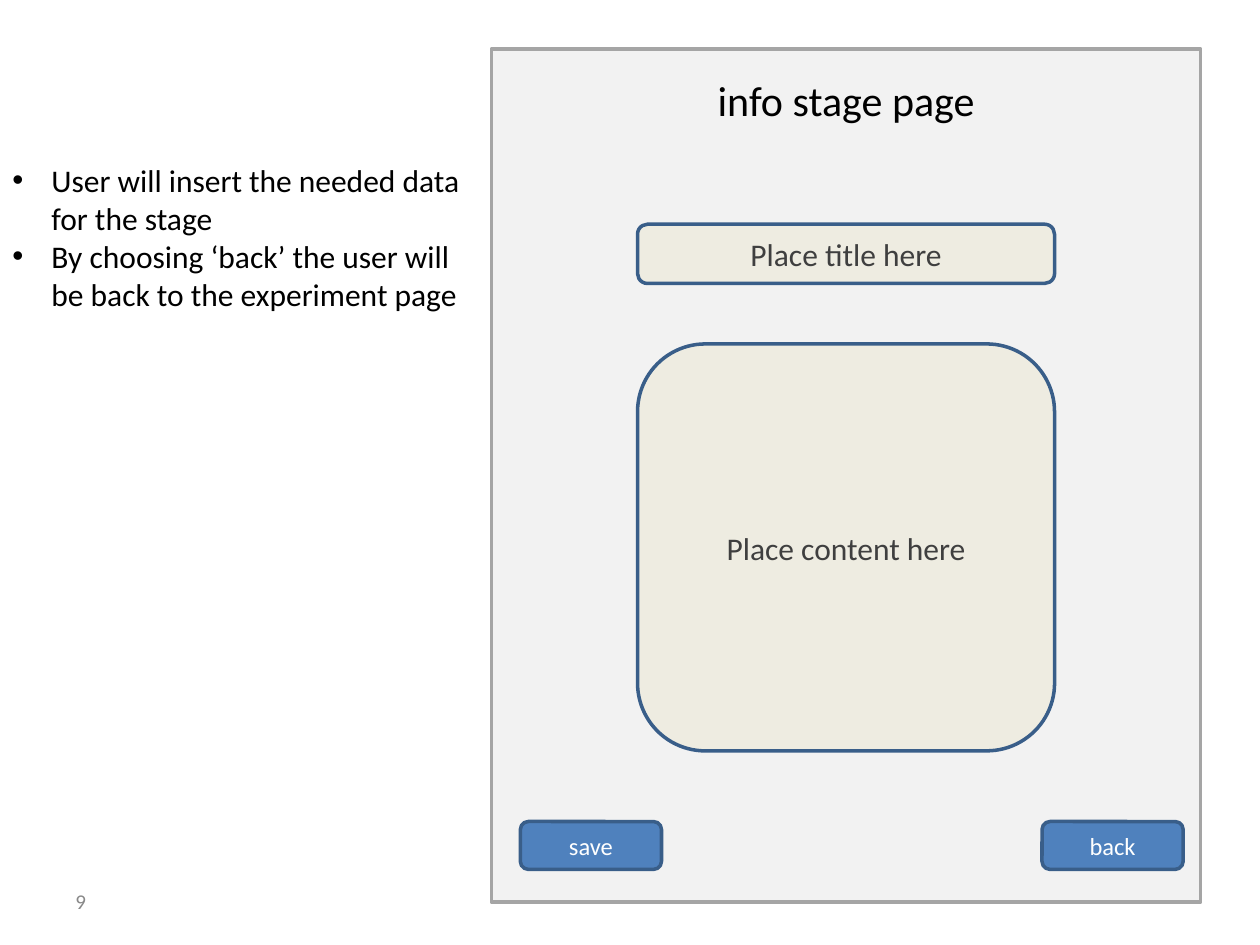
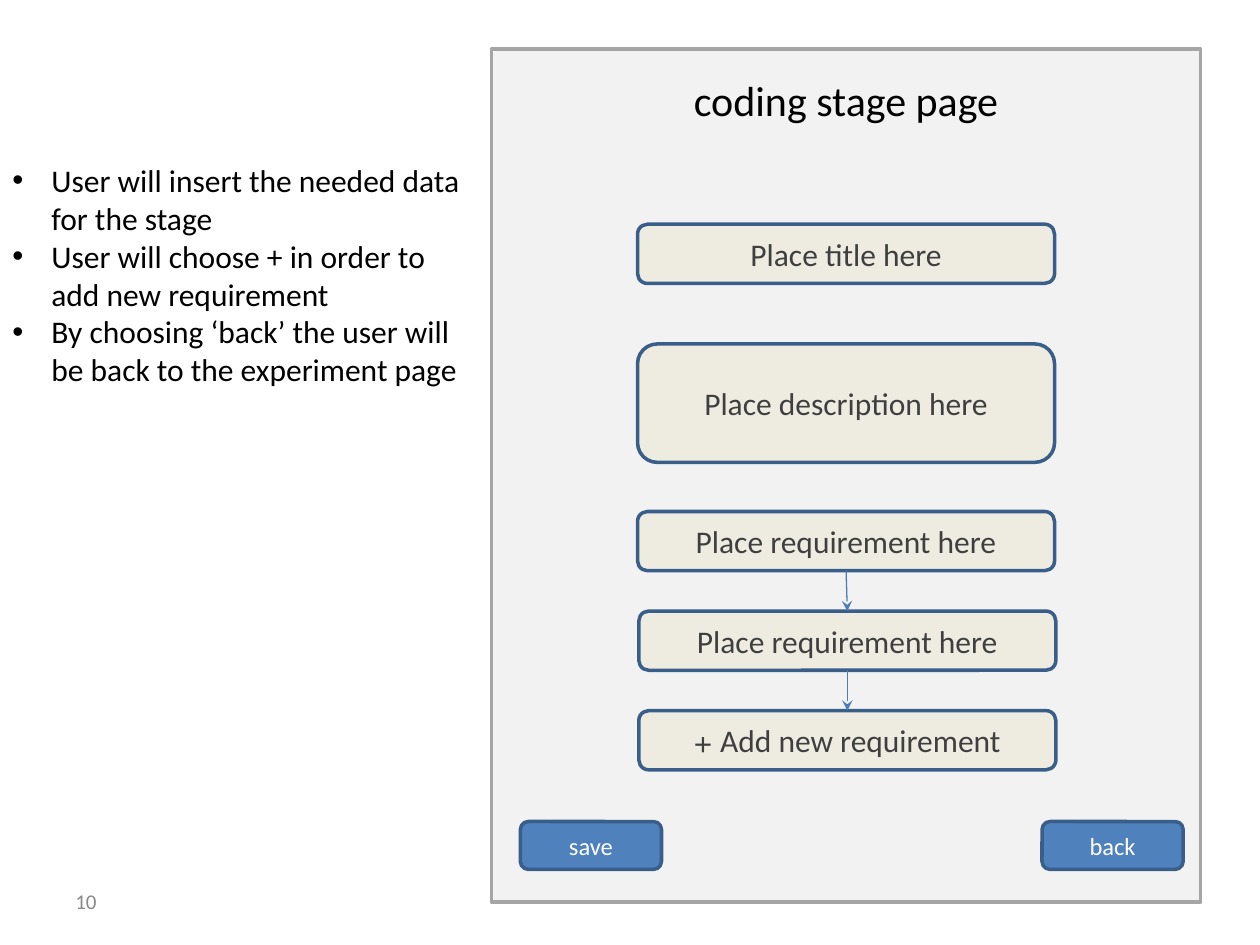
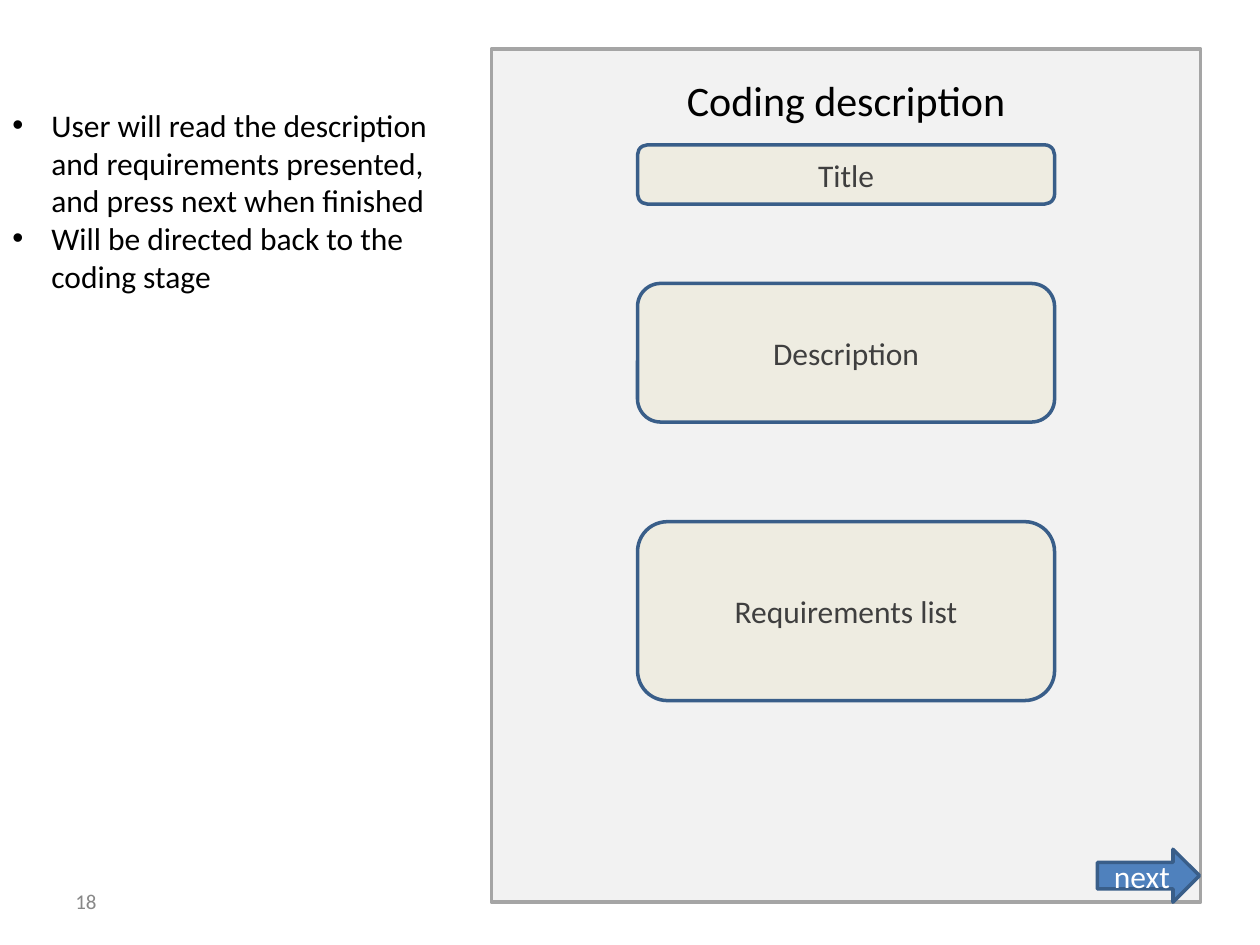
from lxml import etree
from pptx import Presentation
from pptx import util as u
from pptx.dml.color import RGBColor
from pptx.enum import shapes, text
from pptx.oxml import ns

COLORS = {
    "panel": "F2F2F2", "panel edge": "A5A5A5", "field": "EEECE1",
    "button": "4F81BD", "edge": "395E89", "arrow": "4A7DBA",
    "black": "000000", "field text": "3F3F3F", "number": "888888", "white": "FFFFFF",
}
FONT = "Calibri"
KIND = shapes.MSO_SHAPE
ALIGN = text.PP_ALIGN
ANCHOR = text.MSO_ANCHOR

deck = Presentation()
deck.slide_width, deck.slide_height = u.Inches(10), u.Inches(7.5)
COLUMN = deck.slide_width // 100
ROW = deck.slide_height // 75

PANEL_LEFT, PANEL_WIDTH = 39, 56.3
FIELD_LEFT, FIELD_WIDTH, FIELD_HEIGHT = 50.6, 33.1, 4.7
SAVE_BACK = [
    ("save", KIND.ROUNDED_RECTANGLE, 41.3, 65.2, 11.2, 3.8, 14),
    ("back", KIND.ROUNDED_RECTANGLE, 82.7, 65.2, 11.2, 3.8, 14),
]
NEXT = [("next", KIND.RIGHT_ARROW, 87.1, 67.4, 8.1, 4.2, 18)]
INSERT_DATA = "User will insert the needed data for the stage"
GO_BACK = "By choosing ‘back’ the user will be back to the experiment page"

PAGES = [
    {
        "title": "info stage page", "number": "9", "buttons": SAVE_BACK,
        "notes": (12.3, 19.2, [INSERT_DATA, GO_BACK]),
        "fields": [
            ("Place title here", 0, 17.8, FIELD_HEIGHT),
            ("Place content here", 0, 27.3, 32.3),
        ],
        "steps": [],
    },
    {
        "title": "coding stage page", "number": "10", "buttons": SAVE_BACK,
        "notes": (12.3, 22.2, [
            INSERT_DATA, "User will choose + in order to add new requirement", GO_BACK]),
        "fields": [
            ("Place title here", 0, 17.8, FIELD_HEIGHT),
            ("Place description here", 0, 27.3, 9.4),
            ("Place requirement here", 0, 40.6, FIELD_HEIGHT),
            ("Place requirement here", 0.1, 48.5, FIELD_HEIGHT),
            ("Add new requirement +", 0.1, 56.4, FIELD_HEIGHT),
        ],
        "steps": [(2, 3), (3, 4)],
    },
    {
        "title": "Coding description", "number": "18", "buttons": NEXT,
        "notes": (7.9, 16.2, [
            "User will read the description and requirements presented, "
            "and press next when finished",
            "Will be directed back to the coding stage"]),
        "fields": [
            ("Title", 0, 11.5, FIELD_HEIGHT),
            ("Description", 0, 22.5, 11),
            ("Requirements list", 0, 41.4, 14.2),
        ],
        "steps": [],
    },
]


def write(box, lines, size, color, align, anchor, bullets=False, rtl=False):
    frame = box.text_frame
    frame.word_wrap = True
    frame.auto_size = text.MSO_AUTO_SIZE.NONE
    frame.vertical_anchor = anchor
    for index, line in enumerate(lines):
        para = frame.add_paragraph() if index else frame.paragraphs[0]
        para.alignment = align
        props = para._p.get_or_add_pPr()
        if rtl:
            props.set("rtl", "1")
        if bullets:
            indent = u.Inches(0.31)
            props.set("marL", str(indent))
            props.set("indent", str(-indent))
            etree.SubElement(props, ns.qn("a:buFont"), typeface="Arial")
            etree.SubElement(props, ns.qn("a:buChar"), char="•")
        span = para.add_run()
        span.text = line
        span.font.name = FONT
        span.font.size = u.Pt(size)
        span.font.color.rgb = RGBColor.from_string(COLORS[color])


def add_block(page, kind, left, top, width, height, fill, edge):
    block = page.shapes.add_shape(
        kind, int(left * COLUMN), int(top * ROW), int(width * COLUMN), int(height * ROW))
    block.shadow.inherit = False
    block.fill.solid()
    block.fill.fore_color.rgb = RGBColor.from_string(COLORS[fill])
    block.line.color.rgb = RGBColor.from_string(COLORS[edge])
    block.line.width = u.Pt(2)
    return block


for content in PAGES:
    page = deck.slides.add_slide(deck.slide_layouts[5])
    panel = add_block(page, KIND.RECTANGLE, PANEL_LEFT, 3.9, PANEL_WIDTH, 67.7,
                      "panel", "panel edge")
    title = page.shapes.title
    title.element.addprevious(panel.element)
    title.left, title.top = PANEL_LEFT * COLUMN, int(5.4 * ROW)
    title.width, title.height = int(PANEL_WIDTH * COLUMN), 5 * ROW
    write(title, [content["title"]], 24, "black", ALIGN.CENTER, ANCHOR.TOP)

    fields = []
    for label, shift, top, height in content["fields"]:
        field = add_block(page, KIND.ROUNDED_RECTANGLE, FIELD_LEFT + shift, top,
                          FIELD_WIDTH, height, "field", "edge")
        write(field, [label], 18, "field text", ALIGN.CENTER, ANCHOR.MIDDLE, rtl=True)
        fields.append(field)

    for start, end in content["steps"]:
        arrow = page.shapes.add_connector(shapes.MSO_CONNECTOR.STRAIGHT, 0, 0, 0, 0)
        arrow.begin_connect(fields[start], 2)
        arrow.end_connect(fields[end], 0)
        arrow.line.color.rgb = RGBColor.from_string(COLORS["arrow"])
        arrow.line.width = u.Pt(0.75)
        etree.SubElement(arrow.line._get_or_add_ln(), ns.qn("a:tailEnd"), type="stealth")
        etree.SubElement(arrow.element.spPr, ns.qn("a:effectLst"))

    top, height, lines = content["notes"]
    notes = page.shapes.add_textbox(
        0, int(top * ROW), PANEL_LEFT * COLUMN, int(height * ROW))
    write(notes, lines, 18, "black", ALIGN.LEFT, ANCHOR.TOP, bullets=True)

    number = page.shapes.add_textbox(
        5 * COLUMN, int(69.5 * ROW), int(23.3 * COLUMN), 4 * ROW)
    write(number, [content["number"]], 12, "number", ALIGN.LEFT, ANCHOR.MIDDLE)

    for label, kind, left, top, width, height, size in content["buttons"]:
        button = add_block(page, kind, left, top, width, height, "button", "edge")
        write(button, [label], size, "white", ALIGN.CENTER, ANCHOR.MIDDLE, rtl=True)

deck.save("out.pptx")
